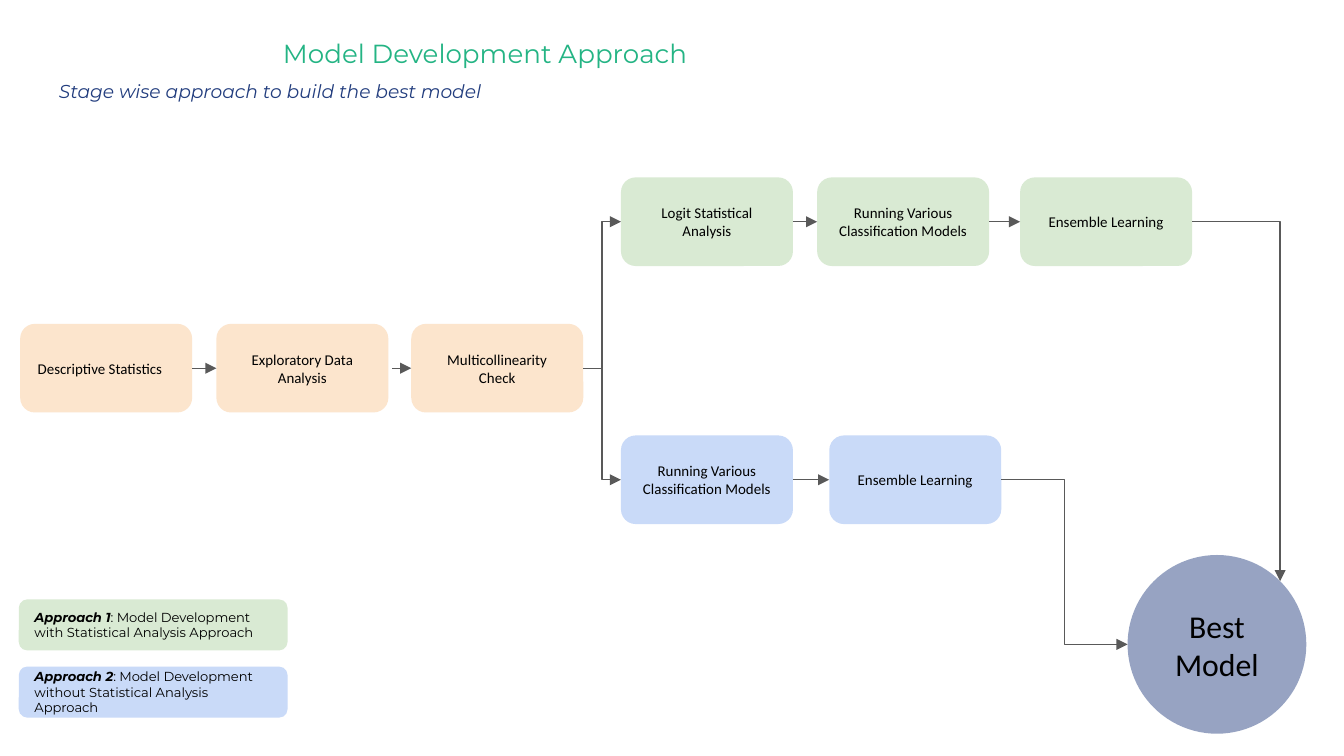
"""Build the model development approach slide: two flows that lead to the best model."""
from lxml import etree
from pptx import Presentation, util as u
from pptx.dml.color import RGBColor
from pptx.enum import shapes, text
from pptx.oxml.ns import qn

PEACH = RGBColor(0xFC, 0xE5, 0xCD)
MINT = RGBColor(0xD9, 0xEA, 0xD3)
SKY = RGBColor(0xC9, 0xDA, 0xF8)
NAVY = RGBColor(0x22, 0x3D, 0x7E)
GREEN = RGBColor(0x24, 0xB4, 0x84)
GREY = RGBColor(0x59, 0x59, 0x59)
BLACK = RGBColor(0, 0, 0)

TITLE = "Model Development Approach"
SUBTITLE = "Stage wise approach to build the best model"
GOAL = "Best Model"
FLOWS = {
    "shared": (2.41, PEACH, [(0.15, "Descriptive Statistics"),
                             (1.61, "Exploratory Data Analysis"),
                             (3.06, "Multicollinearity Check")]),
    "statistical": (1.32, MINT, [(4.62, "Logit Statistical Analysis"),
                                 (6.08, "Running Various Classification Models"),
                                 (7.59, "Ensemble Learning")]),
    "direct": (3.24, SKY, [(4.62, "Running Various Classification Models"),
                           (6.17, "Ensemble Learning")]),
}
LEGEND = [
    ("Approach 1", ": Model Development with Statistical Analysis Approach", MINT),
    ("Approach 2", ": Model Development without Statistical Analysis Approach", SKY),
]
BOX_W, BOX_H = 1.28, 0.66
GOAL_X, GOAL_Y, GOAL_D = 8.39, 4.13, 1.33
LEGEND_X, LEGEND_Y, LEGEND_W, LEGEND_H, LEGEND_PITCH = 0.14, 4.46, 2, 0.38, 0.5
LEFT, RIGHT = 1, 3
STRAIGHT, ELBOW = shapes.MSO_CONNECTOR.STRAIGHT, shapes.MSO_CONNECTOR.ELBOW
ROUNDED, OVAL = shapes.MSO_SHAPE.ROUNDED_RECTANGLE, shapes.MSO_SHAPE.OVAL
CENTER, START = text.PP_ALIGN.CENTER, text.PP_ALIGN.LEFT

prs = Presentation()
prs.slide_width = u.Inches(10)
prs.slide_height = prs.slide_width * 9 // 16
s = prs.slides.add_slide(prs.slide_layouts[6])


def write(sp, runs, size, font, align, color=BLACK, anchor=text.MSO_ANCHOR.MIDDLE, inset=0.1):
    tf = sp.text_frame
    tf.word_wrap = True
    tf.vertical_anchor = anchor
    tf.margin_left = tf.margin_right = u.Inches(0.1)
    tf.margin_top = tf.margin_bottom = u.Inches(inset)
    p = tf.paragraphs[0]
    p.alignment = align
    for words, bold, italic in runs:
        r = p.add_run()
        r.text = words
        r.font.size, r.font.name = u.Pt(size), font
        r.font.bold, r.font.italic = bold, italic
        r.font.color.rgb = color
    return p


def add_box(kind, x, y, w, h, fill):
    sp = s.shapes.add_shape(kind, *map(u.Inches, (x, y, w, h)))
    sp.shadow.inherit = False
    sp.fill.solid()
    sp.fill.fore_color.rgb = fill
    sp.line.fill.background()
    return sp


def add_arrow(kind, start, end):
    cxn = s.shapes.add_connector(kind, *map(u.Inches, start + end))
    cxn.line.color.rgb = GREY
    cxn.line.width = u.Pt(0.75)
    etree.SubElement(cxn.line._get_or_add_ln(), qn("a:tailEnd"), type="triangle")
    etree.SubElement(cxn._element.spPr, qn("a:effectLst"))
    return cxn


def join(kind, source, target):
    cxn = add_arrow(kind, (0, 0), (1, 1))
    cxn.begin_connect(source, RIGHT)
    cxn.end_connect(target, LEFT)


def flow_end(name):
    y, _, steps = FLOWS[name]
    return steps[-1][0] + BOX_W, y + BOX_H / 2


stages = {}
for name, (y, fill, steps) in FLOWS.items():
    stages[name] = []
    for x, label in steps:
        sp = add_box(ROUNDED, x, y, BOX_W, BOX_H, fill)
        align = START if label == "Descriptive Statistics" else CENTER
        write(sp, [(label, False, False)], 8, "Calibri", align)
        stages[name].append(sp)

goal = add_box(OVAL, GOAL_X, GOAL_Y, GOAL_D, GOAL_D, NAVY)
srgb = goal._element.spPr.find(".//" + qn("a:srgbClr"))
etree.SubElement(srgb, qn("a:alpha"), val="47000")
write(goal, [(GOAL, False, False)], 17, "Calibri", CENTER)

shared, statistical, direct = stages.values()
join(STRAIGHT, shared[0], shared[1])
shared_mid = FLOWS["shared"][0] + BOX_H / 2
add_arrow(STRAIGHT, (2.92, shared_mid), (3.06, shared_mid)).end_connect(shared[2], LEFT)
for branch in (statistical, direct):
    join(ELBOW, shared[-1], branch[0])
    for source, target in zip(branch, branch[1:]):
        join(STRAIGHT, source, target)

add_arrow(ELBOW, flow_end("direct"), (GOAL_X, GOAL_Y + GOAL_D / 2))
corner = GOAL_D / 2 * (1 - 0.5 ** 0.5)
into_top = add_arrow(ELBOW, flow_end("statistical"), (GOAL_X + GOAL_D - corner, GOAL_Y + corner))
into_top._element.spPr.find(qn("a:prstGeom")).set("prst", "bentConnector2")

title = s.shapes.add_textbox(*map(u.Inches, (0.45, 0.23, 6.32, 0.31)))
p = write(title, [(TITLE, False, False)], 14, "Montserrat", CENTER, GREEN, text.MSO_ANCHOR.TOP, 0.05)
gradient = p.runs[0].font.fill
gradient.gradient()
gradient.gradient_angle = 0
for stop, color in zip(gradient.gradient_stops, (GREEN, NAVY)):
    stop.color.rgb = color

subtitle = s.shapes.add_textbox(*map(u.Inches, (0.34, 0.51, 3.41, 0.33)))
write(subtitle, [(SUBTITLE, False, True)], 10, "Montserrat", START, NAVY)

for i, (name, detail, fill) in enumerate(LEGEND):
    sp = add_box(ROUNDED, LEGEND_X, LEGEND_Y + i * LEGEND_PITCH, LEGEND_W, LEGEND_H, fill)
    write(sp, [(name, True, True), (detail, False, False)], 7, "Montserrat", START)

prs.save("out.pptx")
